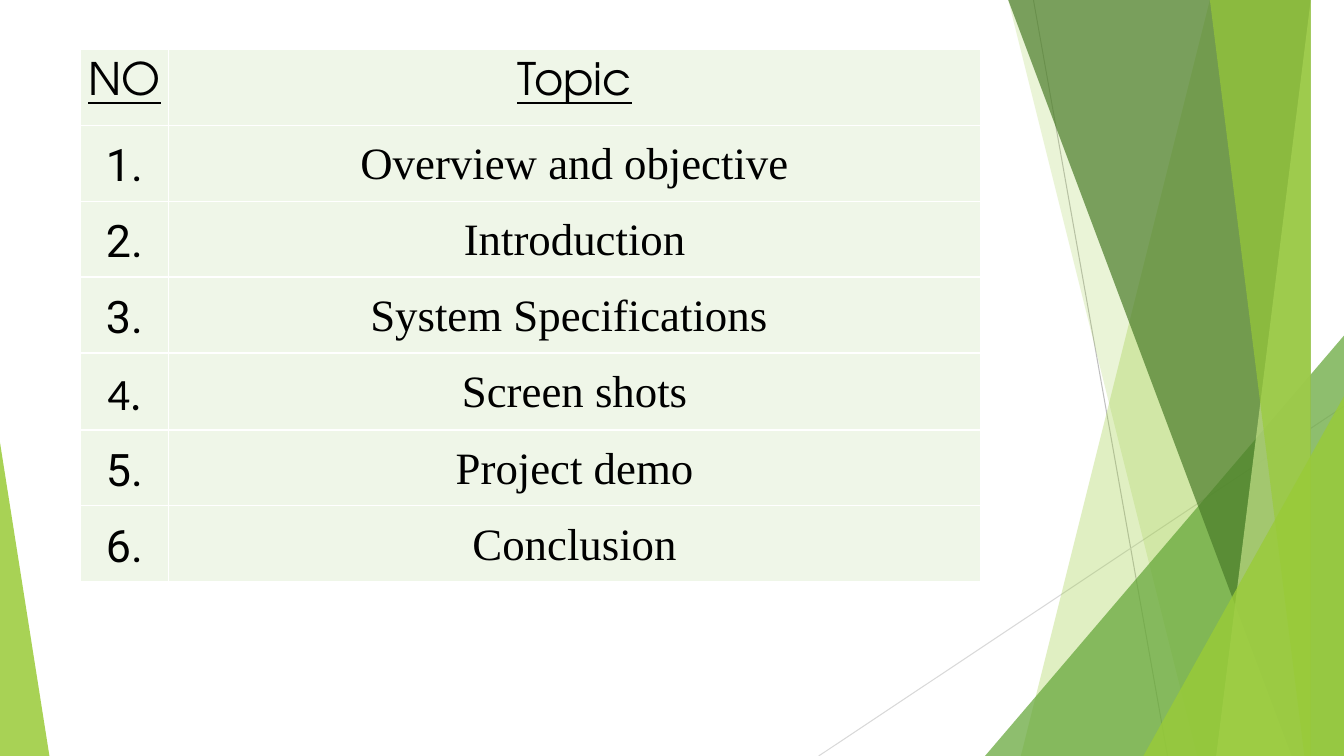
from lxml.etree import SubElement
from pptx import Presentation
from pptx.dml.color import RGBColor
from pptx.enum.shapes import MSO_CONNECTOR, MSO_SHAPE
from pptx.enum.text import PP_ALIGN
from pptx.oxml.ns import qn
from pptx.util import Inches, Pt

WIDTH, HEIGHT = 13.33, 7.5
BLACK = RGBColor(0x00, 0x00, 0x00)
WHITE = RGBColor(0xFF, 0xFF, 0xFF)
LIGHT_GRAY = RGBColor(0xD9, 0xD9, 0xD9)
GRAY = RGBColor(0xBF, 0xBF, 0xBF)
LIME = RGBColor(0x99, 0xCB, 0x38)
PALE_LIME = RGBColor(0xC2, 0xE0, 0x88)
GREEN = RGBColor(0x63, 0xA5, 0x37)
DARK_GREEN = RGBColor(0x4A, 0x7C, 0x29)
CELL_GREEN = RGBColor(0xEF, 0xF6, 0xE8)

HEADING_FONT, NUMBER_FONT, TOPIC_FONT = "TeX Gyre Adventor", "Roboto", "Times New Roman"
AGENDA = [
    ("NO", HEADING_FONT, "Topic", HEADING_FONT),
    ("1.", NUMBER_FONT, "Overview and objective", TOPIC_FONT),
    ("2.", NUMBER_FONT, "Introduction", TOPIC_FONT),
    ("3.", NUMBER_FONT, "System Specifications ", TOPIC_FONT),
    ("4.", "Calibri", "Screen shots", TOPIC_FONT),
    ("5.", NUMBER_FONT, "Project demo", TOPIC_FONT),
    ("6.", NUMBER_FONT, "Conclusion", TOPIC_FONT),
]


def paint(shape, color, opacity):
    """Give a shape a see-through fill without outline or shadow."""
    shape.shadow.inherit = False
    shape.line.fill.background()
    shape.fill.solid()
    shape.fill.fore_color.rgb = color
    color_element = shape.fill._xPr.find(qn("a:solidFill"))[0]
    SubElement(color_element, qn("a:alpha"), val=str(opacity * 1000))


def add_thin_line(page, start, end, color):
    line = page.shapes.add_connector(
        MSO_CONNECTOR.STRAIGHT, *(Inches(value) for value in (*start, *end)))
    line.line.color.rgb = color
    line.line.width = Pt(0.75)
    SubElement(line._element.spPr, qn("a:effectLst"))


def add_band(page, top_x, bottom_x, color, opacity):
    """Fill the page from a slanted left edge to the right side."""
    builder = page.shapes.build_freeform(top_x, 0, scale=Inches(1))
    builder.add_line_segments([(WIDTH, 0), (WIDTH, HEIGHT), (bottom_x, HEIGHT)])
    paint(builder.convert_to_shape(), color, opacity)


def add_corner(page, left, top, width, peak, color, opacity):
    """Stand a right triangle on the bottom edge; peak 0 is left, 1 right."""
    corner = page.shapes.add_shape(
        MSO_SHAPE.ISOSCELES_TRIANGLE,
        Inches(left), Inches(top), Inches(width), Inches(HEIGHT - top))
    corner.adjustments[0] = peak
    paint(corner, color, opacity)


def add_backdrop(page):
    # Thin crossing lines
    add_thin_line(page, (10.25, 0), (11.58, HEIGHT), GRAY)
    add_thin_line(page, (WIDTH, 4.03), (8.12, HEIGHT), LIGHT_GRAY)
    # Overlapping facets, back to front
    add_band(page, 12.28, 10.04, LIME, 30)
    add_band(page, 10.5, 11.83, LIME, 20)
    add_corner(page, 9.77, 3.33, 3.56, 1, GREEN, 72)
    add_band(page, 10.21, 12.91, DARK_GREEN, 70)
    add_band(page, 13.03, 11.92, PALE_LIME, 70)
    add_band(page, 11.96, 13.18, LIME, 65)
    add_corner(page, 11.34, 3.93, 1.99, 1, LIME, 80)
    # Left corner
    add_corner(page, 0, 4.39, 0.49, 0, LIME, 85)


def format_cell(cell, text, font_name, underline):
    # White borders come before the fill in the cell properties
    properties = cell._tc.get_or_add_tcPr()
    for side in ("a:lnL", "a:lnR", "a:lnT", "a:lnB"):
        border = SubElement(properties, qn(side), w=str(Pt(1)))
        fill = SubElement(border, qn("a:solidFill"))
        SubElement(fill, qn("a:srgbClr"), val=str(WHITE))
    cell.fill.solid()
    cell.fill.fore_color.rgb = CELL_GREEN
    cell.margin_left = cell.margin_right = Inches(0.07)
    cell.margin_top = cell.margin_bottom = Inches(0.07)
    # Text
    cell.text = text
    para = cell.text_frame.paragraphs[0]
    para.alignment = PP_ALIGN.CENTER
    para.line_spacing = 1.15
    para.font.name = font_name
    para.font.size = Pt(32)
    para.font.color.rgb = BLACK
    para.font.underline = underline


def add_agenda(page, left, top, width, height):
    table = page.shapes.add_table(
        len(AGENDA), 2, Inches(left), Inches(top), Inches(width), Inches(height)).table
    table.first_row = table.horz_banding = False
    number_width = 0.87
    table.columns[0].width = Inches(number_width)
    table.columns[1].width = Inches(width - number_width)
    for row, (number, number_font, topic, topic_font) in enumerate(AGENDA):
        is_heading = row == 0
        format_cell(table.cell(row, 0), number, number_font, is_heading)
        format_cell(table.cell(row, 1), topic, topic_font, is_heading)


def main():
    deck = Presentation()
    deck.slide_width, deck.slide_height = Inches(WIDTH), Inches(HEIGHT)
    page = deck.slides.add_slide(deck.slide_layouts[6])
    add_backdrop(page)
    add_agenda(page, 0.8, 0.49, 8.93, 5.27)
    deck.save("out.pptx")


if __name__ == "__main__":
    main()
